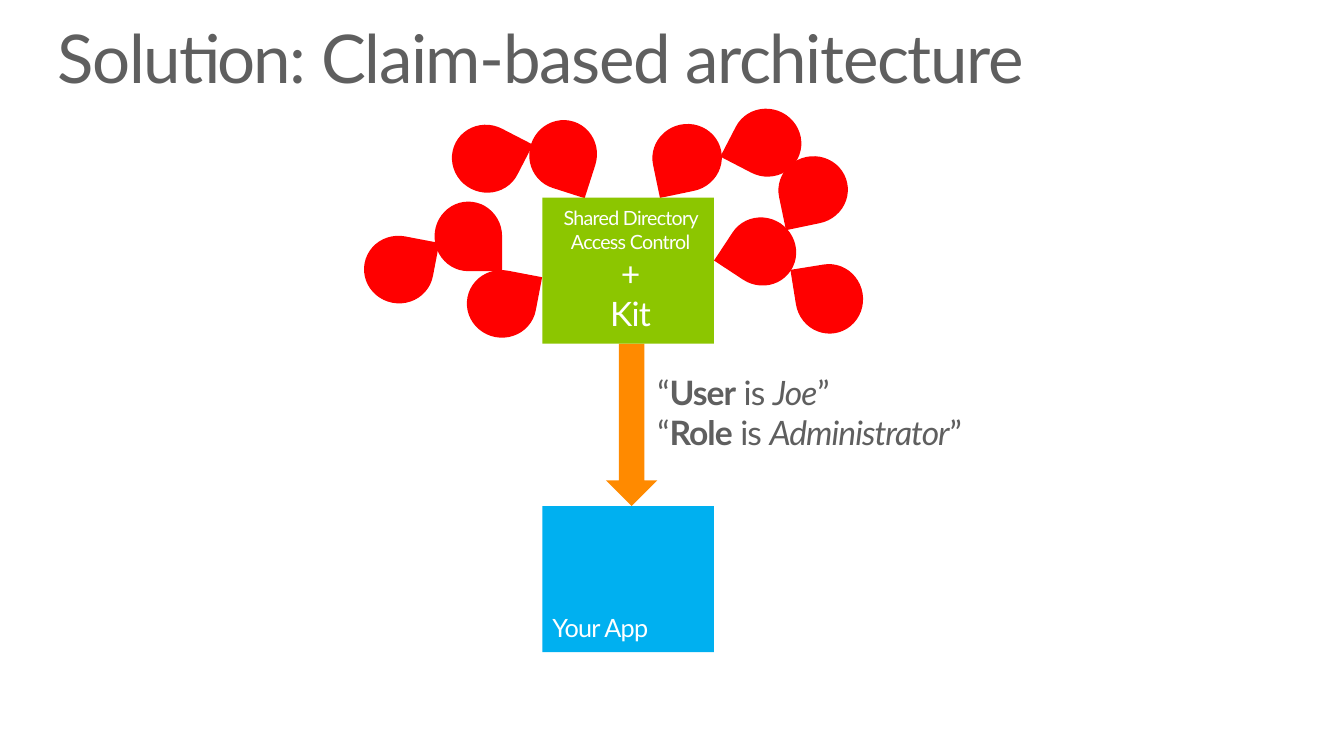
from dataclasses import dataclass

from pptx import Presentation
from pptx.dml.color import RGBColor
from pptx.enum.shapes import MSO_SHAPE
from pptx.enum.text import MSO_ANCHOR, PP_ALIGN
from pptx.util import Inches, Pt

# Content: a paragraph is a list of (text, style) runs
TITLE = [[("Solution: Claim-based architecture", "")]]
APP = [[("Your App", "")]]
ISSUER = [[("Shared Directory Access Control", "")], [("+", "")], [("Kit", "")]]
CLAIMS = [
    [("“", ""), (name, "bold"), (" is ", ""), (value, "italic"), ("”", "")]
    for name, value in (("User", "Joe"), ("Role", "Administrator"))
]
# Identity provider drops: left, top, rotation
DROPS = [
    (4.63, 2.68, 10.8), (4.3, 2.01, 90), (6.47, 1.23, 168.2), (7.21, 2.16, 213.4),
    (3.61, 2.34, 10.8), (7.26, 1.08, 207.4), (5.24, 1.2, 107.8),
    (7.88, 2.63, 260.9), (7.72, 1.55, 168.2), (4.48, 1.24, 27.3),
]


@dataclass(frozen=True)
class Theme:
    font: str = "Lato"
    text: str = "5F5F5F"
    light: str = "FFFFFF"
    app: str = "00B0F0"
    issuer: str = "8CC600"
    arrow: str = "FF8A00"
    drop: str = "FF0000"
    title_size: int = 48
    large: int = 24
    label: int = 18
    small: int = 14


THEME = Theme()

# Layout in inches
BOX_LEFT, BOX_WIDTH, BOX_HEIGHT = 5.38, 1.7, 1.45
ISSUER_TOP, APP_TOP = 1.96, 5.02
ARROW_LEFT, ARROW_WIDTH = 6.01, 0.51
DROP_WIDTH, DROP_HEIGHT = 0.69, 0.67
BOX_INSETS = (0.1, 0.05, 0.05, 0.1)


def write(shape, paragraphs, sizes, color=THEME.text, spacing=0.0, line_spacing=None,
          align=PP_ALIGN.LEFT, anchor=MSO_ANCHOR.TOP, insets=(0, 0, 0, 0)):
    """Fill a shape with formatted paragraphs, one type size for each."""
    frame = shape.text_frame
    frame.word_wrap = True
    frame.vertical_anchor = anchor
    (frame.margin_left, frame.margin_top,
     frame.margin_right, frame.margin_bottom) = map(Inches, insets)
    for index, (runs, size) in enumerate(zip(paragraphs, sizes)):
        paragraph = frame.add_paragraph() if index else frame.paragraphs[0]
        paragraph.alignment = align
        if line_spacing:
            paragraph.line_spacing = line_spacing
        for text, style in runs:
            run = paragraph.add_run()
            run.text = text
            font = run.font
            font.name, font.size = THEME.font, Pt(size)
            font.bold, font.italic = style == "bold", style == "italic"
            font.color.rgb = RGBColor.from_string(color)
            font._element.set("spc", str(round(spacing * 100)))


def add_block(slide, preset, left, top, width, height, color, rotation=0):
    block = slide.shapes.add_shape(
        preset, Inches(left), Inches(top), Inches(width), Inches(height))
    block.shadow.inherit = False
    block.fill.solid()
    block.fill.fore_color.rgb = RGBColor.from_string(color)
    block.line.fill.background()
    block.rotation = rotation
    return block


def add_box(slide, top, color):
    return add_block(slide, MSO_SHAPE.RECTANGLE, BOX_LEFT, top, BOX_WIDTH, BOX_HEIGHT, color)


def main():
    presentation = Presentation()
    presentation.slide_width, presentation.slide_height = Inches(13.33), Inches(7.5)
    slide = presentation.slides.add_slide(presentation.slide_layouts[5])

    # Title
    title = slide.shapes.title
    title.left, title.top = Inches(0.57), Inches(0.25)
    title.width, title.height = Inches(12.76), Inches(0.73)
    write(title, TITLE, [THEME.title_size], spacing=-1, line_spacing=0.9)

    # Application
    app = add_box(slide, APP_TOP, THEME.app)
    write(app, APP, [THEME.label], color=THEME.light, spacing=-0.5,
          anchor=MSO_ANCHOR.BOTTOM, insets=BOX_INSETS)

    # Arrow from issuer to application, with its claims
    arrow_top = ISSUER_TOP + BOX_HEIGHT
    add_block(slide, MSO_SHAPE.DOWN_ARROW, ARROW_LEFT, arrow_top,
              ARROW_WIDTH, APP_TOP - arrow_top, THEME.arrow)
    claims = slide.shapes.add_textbox(
        Inches(ARROW_LEFT + ARROW_WIDTH), Inches(3.69), Inches(3.42), Inches(0.81))
    write(claims, CLAIMS, [THEME.large] * 2, spacing=-0.7)

    # Identity providers
    for left, top, rotation in DROPS:
        add_block(slide, MSO_SHAPE.TEAR, left, top, DROP_WIDTH, DROP_HEIGHT,
                  THEME.drop, rotation)

    # Issuer
    issuer = add_box(slide, ISSUER_TOP, THEME.issuer)
    write(issuer, ISSUER, [THEME.small, THEME.large, THEME.large], color=THEME.light,
          spacing=-0.5, align=PP_ALIGN.CENTER, anchor=MSO_ANCHOR.BOTTOM, insets=BOX_INSETS)

    presentation.save("out.pptx")


if __name__ == "__main__":
    main()
